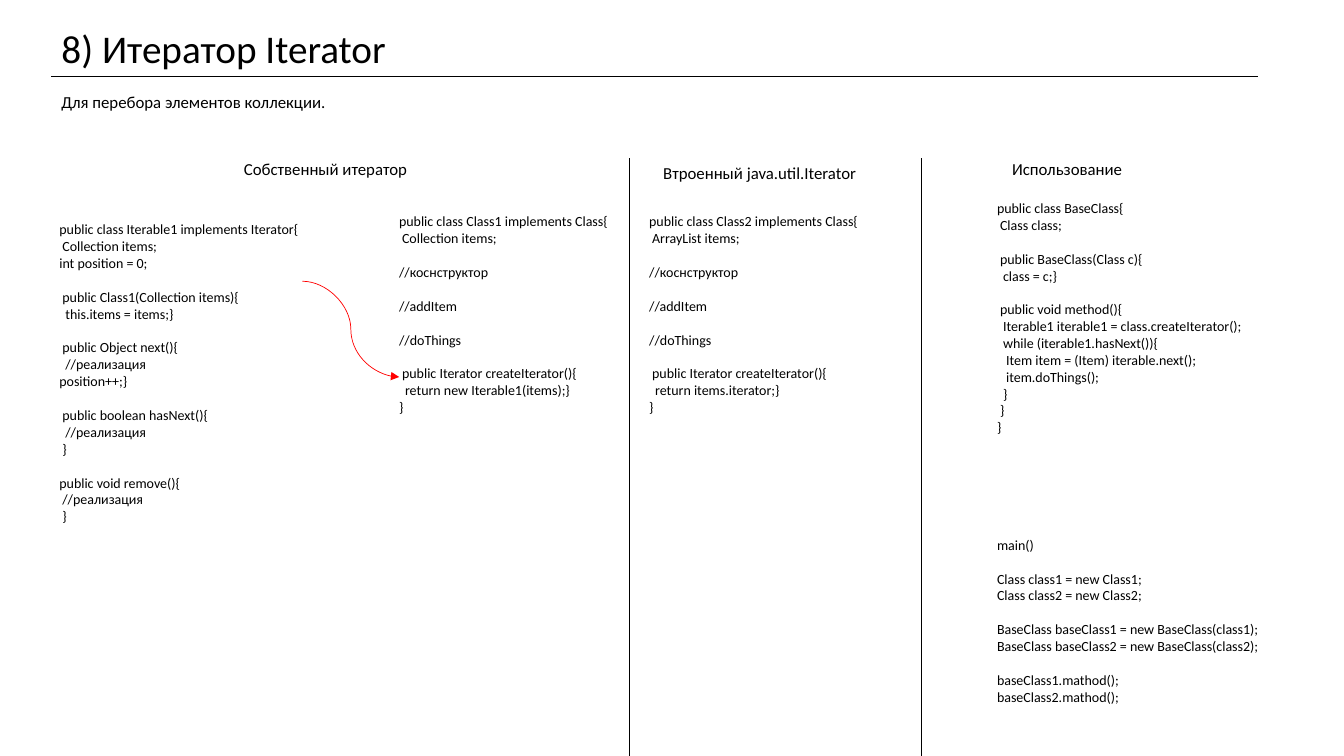
"""Build a slide on the Iterator pattern with code columns."""
from dataclasses import dataclass

from lxml.etree import SubElement
from pptx import Presentation
from pptx.dml.color import RGBColor
from pptx.enum.shapes import MSO_CONNECTOR
from pptx.enum.text import MSO_ANCHOR, MSO_AUTO_SIZE, PP_ALIGN
from pptx.oxml.ns import qn
from pptx.shapes.base import BaseShape
from pptx.slide import Slide
from pptx.util import Emu, Pt

SCALE = 9144


@dataclass(frozen=True)
class Theme:
    font: str = "Calibri"
    ink: RGBColor = RGBColor(0, 0, 0)
    red: RGBColor = RGBColor(255, 0, 0)
    title: float = 28
    head: float = 12
    code: float = 10
    gap: float = 12.2
    line: float = 0.5
    step: int = 3


@dataclass(frozen=True)
class Box:
    left: int
    top: int
    width: int
    height: int
    text: str
    size: float
    wrap: bool = True


@dataclass(frozen=True)
class Line:
    start: tuple[int, int]
    end: tuple[int, int]
    color: RGBColor
    kind: MSO_CONNECTOR = MSO_CONNECTOR.STRAIGHT
    arrow: bool = False


THEME = Theme()

OWN = """public class Iterable1 implements Iterator{
 Collection items;
int position = 0;

 public Class1(Collection items){
  this.items = items;}

 public Object next(){
  //реализация
position++;}

 public boolean hasNext(){
  //реализация
 }

public void remove(){
 //реализация
 }"""

CLASS = """public class %s implements Class{
 %s items;

//коснструктор

//addItem

//doThings

 public Iterator createIterator(){
  return %s;}
}"""

BASE = """public class BaseClass{
 Class class;

 public BaseClass(Class c){
  class = c;}

 public void method(){
  Iterable1 iterable1 = class.createIterator();
  while (iterable1.hasNext()){
   Item item = (Item) iterable.next();
   item.doThings();
  }
 }
}"""

MAIN = """main()

Class class1 = new Class1;
Class class2 = new Class2;

BaseClass baseClass1 = new BaseClass(class1);
BaseClass baseClass2 = new BaseClass(class2);

baseClass1.mathod();
baseClass2.mathod();"""

TITLE = Box(51, 19, 1207, 57, "8) Итератор Iterator", THEME.title)

BOXES = [
    Box(51, 86, 1207, 30, "Для перебора элементов коллекции.", THEME.head),
    Box(232, 153, 185, 30, "Собственный итератор", THEME.head),
    Box(648, 157, 217, 30, "Втроенный java.util.Iterator", THEME.head),
    Box(994, 153, 217, 30, "Использование", THEME.head),
    Box(49, 214, 261, 330, OWN, THEME.code, False),
    Box(386, 206, 230, 212,
        CLASS % ("Class1", "Collection", "new Iterable1(items)"), THEME.code, False),
    Box(634, 206, 230, 212,
        CLASS % ("Class2", "ArrayList", "items.iterator"), THEME.code, False),
    Box(979, 193, 268, 246, BASE, THEME.code, False),
    Box(979, 527, 282, 178, MAIN, THEME.code, False),
]

LINES = [
    Line((51, 76), (1248, 76), THEME.ink),
    Line((624, 157), (624, 750), THEME.ink),
    Line((914, 157), (914, 750), THEME.ink),
    Line((300, 279), (396, 374), THEME.red, MSO_CONNECTOR.CURVE, True),
]


def px(size: int) -> Emu:
    """Turn px into EMU."""
    return Emu(size * SCALE)


def apply(item: object, values: dict) -> None:
    """Set each named attribute on an item."""
    for name, value in values.items():
        setattr(item, name, value)


def fill_text(shape: BaseShape, box: Box) -> None:
    """Write lines, with indents for depth and spacing for gaps."""
    frame = shape.text_frame
    apply(frame, {"word_wrap": box.wrap, "auto_size": MSO_AUTO_SIZE.SHAPE_TO_FIT_TEXT,
                  "vertical_anchor": MSO_ANCHOR.TOP})
    para, gap = frame.paragraphs[0], 0
    for row in box.text.split("\n"):
        text = row.lstrip()
        if not text:
            gap = THEME.gap
            continue
        if para.runs:
            para = frame.add_paragraph()
        run = para.add_run()
        run.text = text
        apply(para, {"alignment": PP_ALIGN.LEFT, "space_before": Pt(gap)})
        apply(run.font, {"name": THEME.font, "size": Pt(box.size)})
        run.font.color.rgb = THEME.ink
        depth = len(row) - len(text)
        if depth:
            props = para._p.get_or_add_pPr()
            props.set("marL", str(px(depth * THEME.step)))
            props.set("indent", "0")
        gap = 0


def place(shape: BaseShape, box: Box) -> None:
    """Move and size a shape, then add its text."""
    fill_text(shape, box)
    apply(shape, {name: px(getattr(box, name))
                  for name in ("left", "top", "width", "height")})


def draw_line(slide: Slide, line: Line) -> None:
    """Draw a rule or a curved arrow."""
    shape = slide.shapes.add_connector(line.kind, *map(px, line.start + line.end))
    shape.line.width = Pt(THEME.line)
    shape.line.color.rgb = line.color
    if line.arrow:
        SubElement(shape.line._get_or_add_ln(), qn("a:tailEnd"), type="triangle")
    SubElement(shape._element.spPr, qn("a:effectLst"))


def main() -> None:
    """Build and save the slide."""
    deck = Presentation()
    apply(deck, {"slide_width": px(1333), "slide_height": px(750)})
    slide = deck.slides.add_slide(deck.slide_layouts[5])
    place(slide.shapes.title, TITLE)
    for box in BOXES:
        place(slide.shapes.add_textbox(0, 0, 0, 0), box)
    for line in LINES:
        draw_line(slide, line)
    deck.save("out.pptx")


if __name__ == "__main__":
    main()
